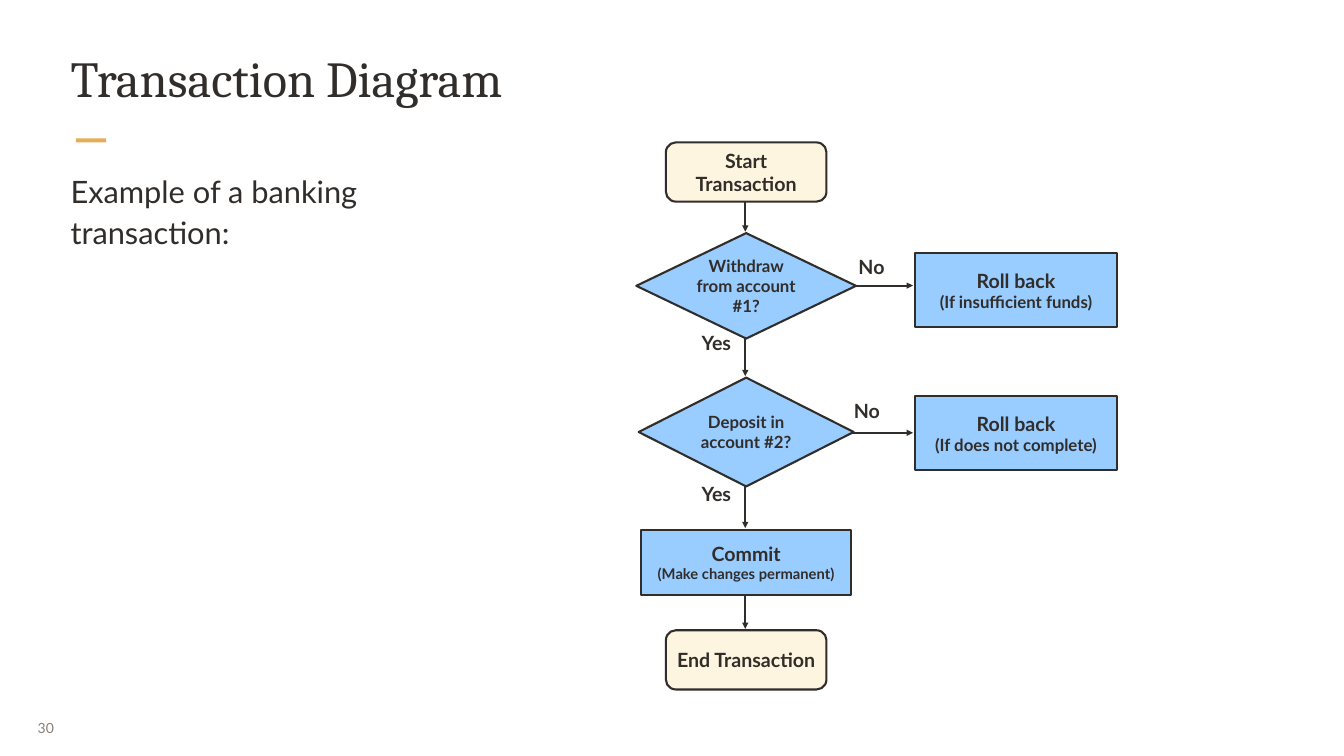
import pptx
import pptx.util
import pptx.dml.color
import pptx.enum.shapes
import pptx.enum.text
import pptx.oxml.ns
import lxml.etree

Pt = pptx.util.Pt
SHAPES = pptx.enum.shapes.MSO_SHAPE
ANCHOR = pptx.enum.text.MSO_ANCHOR
ALIGN = pptx.enum.text.PP_ALIGN

COLORS = {"ink": "312D2A", "accent": "E6AC58", "muted": "8B8078",
          "step": "99CCFF", "terminal": "FEF5E0"}
LINE_WIDTH = 2.25


def rgb(name):
    return pptx.dml.color.RGBColor.from_string(COLORS[name])


def write(shape, *lines, font="Lato", color="ink", bold=False, align=ALIGN.LEFT,
          anchor=ANCHOR.TOP, insets=(7.2, 3.6), wrap=True, spacing=None):
    """Write (text, size) lines as paragraphs; a vertical tab breaks a line."""
    frame = shape.text_frame
    frame.word_wrap = wrap
    frame.vertical_anchor = anchor
    frame.margin_left = frame.margin_right = Pt(insets[0])
    frame.margin_top = frame.margin_bottom = Pt(insets[1])
    for index, (text, size) in enumerate(lines):
        para = frame.add_paragraph() if index else frame.paragraphs[0]
        para.text = text
        para.alignment = align
        if spacing:
            para.line_spacing = spacing
        for span in para.runs:
            span.font.name = font
            span.font.size = Pt(size)
            span.font.bold = bold
            span.font.color.rgb = rgb(color)


def add_text(page, box, *lines, **style):
    shape = page.shapes.add_textbox(*map(Pt, box))
    write(shape, *lines, **style)


def add_block(page, kind, box, fill, outlined=True):
    shape = page.shapes.add_shape(kind, *map(Pt, box))
    shape.shadow.inherit = False
    shape.fill.solid()
    shape.fill.fore_color.rgb = rgb(fill)
    if outlined:
        shape.line.color.rgb = rgb("ink")
        shape.line.width = Pt(LINE_WIDTH)
    else:
        shape.line.fill.background()
    return shape


def add_node(page, kind, box, fill, *lines, insets=(7.2, 3.6)):
    write(add_block(page, kind, box, fill), *lines, bold=True,
          align=ALIGN.CENTER, anchor=ANCHOR.MIDDLE, insets=insets)


def add_arrow(page, left, top, right, bottom):
    arrow = page.shapes.add_connector(
        pptx.enum.shapes.MSO_CONNECTOR.STRAIGHT, *map(Pt, (left, top, right, bottom)))
    arrow.line.color.rgb = rgb("ink")
    arrow.line.width = Pt(LINE_WIDTH)
    qn = pptx.oxml.ns.qn
    lxml.etree.SubElement(arrow.line._get_or_add_ln(), qn("a:tailEnd"), type="triangle")
    lxml.etree.SubElement(arrow._element.spPr, qn("a:effectLst"))


def add_heading(page, box):
    left, top, width, height = box
    add_text(page, (left, top, width, 92), ("Transaction Diagram", 54),
             font="Cambria", insets=(2.2, 2.2))
    add_block(page, SHAPES.RECTANGLE, (left + 8, top + 100, 32.4, 4.3),
              "accent", outlined=False)
    add_text(page, (left, top + 131, width, height - 131),
             ("Example of a banking \vtransaction:", 33),
             insets=(2.2, 2.2), spacing=1.1)


def add_flowchart(page, box):
    left, top, width, height = box
    center = left + 117.7
    rollback_width = 216
    rollback_left = left + width - rollback_width

    # Main column: kind, top, width, height, fill, side inset, lines
    steps = [
        (SHAPES.ROUNDED_RECTANGLE, 0, 172, 63.4, "terminal", 7.2,
         [("Start Transaction", 21)]),
        (SHAPES.FLOWCHART_DECISION, 97.2, 235.4, 113, "step", 0,
         [("Withdraw from account #1?", 18)]),
        (SHAPES.FLOWCHART_DECISION, 252, 230.4, 116.6, "step", 7.2,
         [("Deposit in account #2?", 18)]),
        (SHAPES.FLOWCHART_PROCESS, 414.8, 224.6, 69.8, "step", 7.2,
         [("Commit", 21), ("(Make changes permanent)", 15.8)]),
        (SHAPES.ROUNDED_RECTANGLE, height - 63.4, 172, 63.4, "terminal", 7.2,
         [("End Transaction", 21)]),
    ]
    # Failure branches: arrow y, box top, label left, label top, reason
    branches = [
        (153.4, 118.8, 912.2, 117.4, "(If insufficient funds)"),
        (311.1, 272.2, 907.2, 270.8, "(If does not complete)"),
    ]

    # Arrows lie behind the nodes and end just before the next one
    for step in steps[1:]:
        tip = top + step[1] - 1.5
        add_arrow(page, center - 1, tip - 54, center - 1, tip)
    for arrow_y, *_ in branches:
        add_arrow(page, rollback_left - 83, top + arrow_y,
                  rollback_left - 2.4, top + arrow_y)

    for kind, offset, wide, high, fill, inset, lines in steps:
        add_node(page, kind, (center - wide / 2, top + offset, wide, high),
                 fill, *lines, insets=(inset, 3.6))

    # Branch boxes and answers
    label = {"bold": True, "align": ALIGN.CENTER, "wrap": False}
    for _, box_top, no_left, no_top, reason in branches:
        add_node(page, SHAPES.FLOWCHART_PROCESS,
                 (rollback_left, top + box_top, rollback_width, 79.2),
                 "step", ("Roll back", 21), (reason, 18))
        add_text(page, (no_left, top + no_top, 43.2, 32.4), ("No", 21), **label)
    for yes_top in (198.8, 360):
        add_text(page, (center - 56.5, top + yes_top, 49, 32.4), ("Yes", 21), **label)


def add_page_number(page, box):
    add_text(page, box, ("30", 15), color="muted", align=ALIGN.JUSTIFY,
             anchor=ANCHOR.MIDDLE, insets=(9.4, 5), wrap=False)


def main():
    deck = pptx.Presentation()
    deck.slide_width, deck.slide_height = Pt(1440), Pt(810)
    page = deck.slides.add_slide(deck.slide_layouts[6])
    add_heading(page, (73.4, 48.2, 1293, 219.6))
    add_flowchart(page, (681.8, 152.6, 514.8, 586.1))
    add_page_number(page, (31, 758.9, 46.8, 41.8))
    deck.save("out.pptx")


if __name__ == "__main__":
    main()
